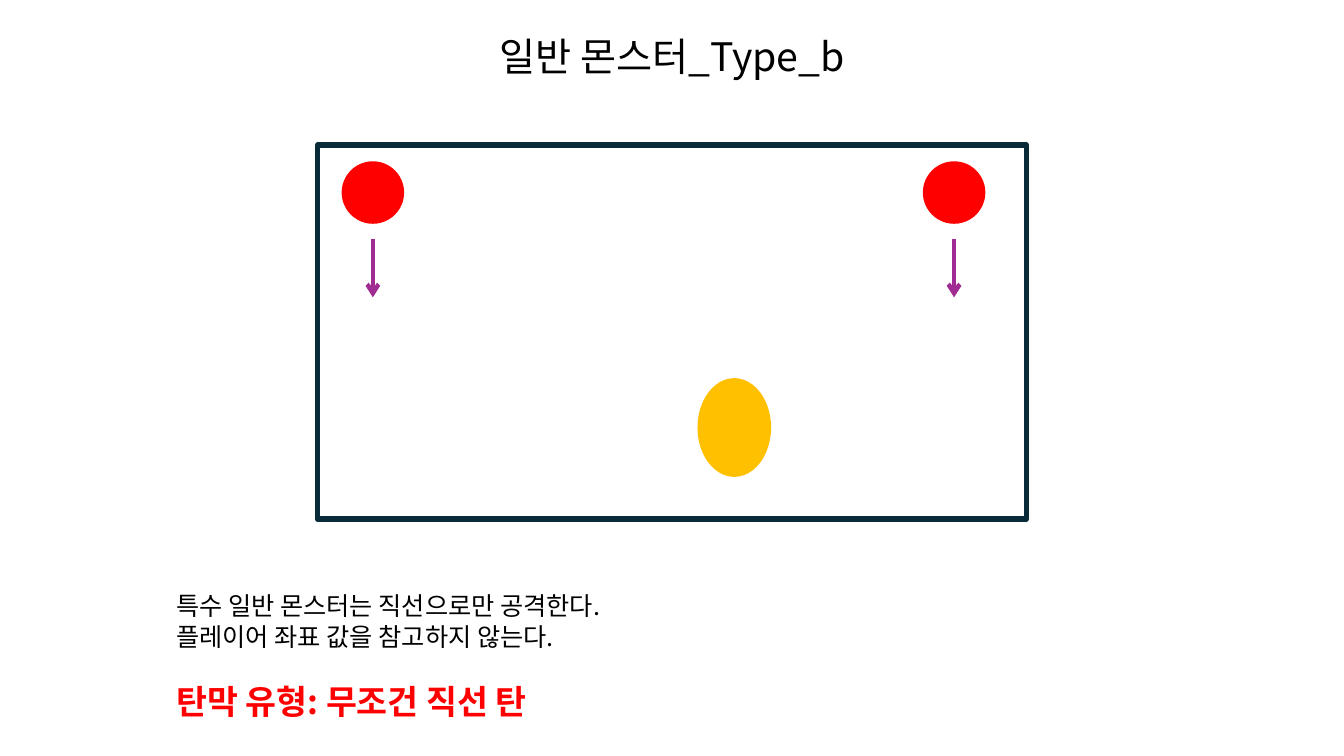
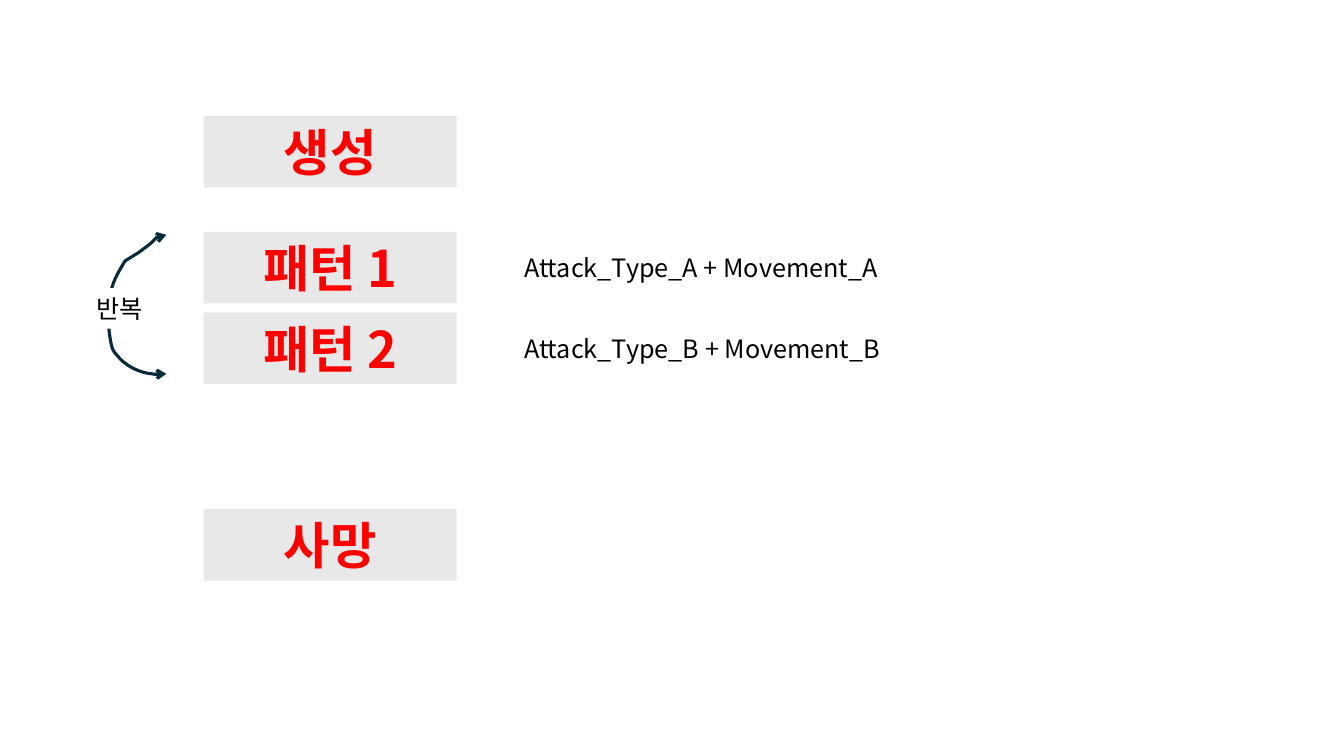
from lxml import etree
from pptx import Presentation
from pptx.dml.color import RGBColor
from pptx.enum.shapes import MSO_CONNECTOR, MSO_SHAPE
from pptx.enum.text import MSO_ANCHOR, MSO_AUTO_SIZE, PP_ALIGN
from pptx.oxml.ns import qn
from pptx.util import Inches, Pt

RECT, OVAL = MSO_SHAPE.RECTANGLE, MSO_SHAPE.OVAL
STRAIGHT = MSO_CONNECTOR.STRAIGHT
TOP, MIDDLE = MSO_ANCHOR.TOP, MSO_ANCHOR.MIDDLE
LEFT, CENTER = PP_ALIGN.LEFT, PP_ALIGN.CENTER

SLIDE_W, SLIDE_H = 13.33, 7.5
TITLE_ONLY, BLANK = 5, 6
FONT = "Noto Sans CJK KR"
COLORS = {
    "text": "000000",
    "accent": "FF0000",
    "player": "FFC000",
    "frame": "092A39",
    "bullet": "A02B93",
    "band": "E8E8E8",
    "paper": "FFFFFF",
}
TITLE = {"size": Pt(28), "bold": False, "color": "text"}
BODY = {"size": Pt(18), "bold": False, "color": "text"}
KEY_NOTE = {"size": Pt(24), "bold": True, "color": "accent"}
STATE = {"size": Pt(36), "bold": True, "color": "accent"}


def rgb(name):
    return RGBColor.from_string(COLORS[name])


def write(shape, lines, align=LEFT, anchor=TOP):
    """Fill a shape with (text, style, space before in points) lines."""
    frame = shape.text_frame
    settings = {
        "word_wrap": True, "auto_size": MSO_AUTO_SIZE.NONE, "vertical_anchor": anchor,
        "margin_left": Inches(0.1), "margin_right": Inches(0.1),
        "margin_top": Inches(0.05), "margin_bottom": Inches(0.05),
    }
    for name, value in settings.items():
        setattr(frame, name, value)
    for index, (text, style, gap) in enumerate(lines):
        paragraph = frame.add_paragraph() if index else frame.paragraphs[0]
        paragraph.alignment = align
        paragraph.space_before = Pt(gap)
        run = paragraph.add_run()
        run.text = text
        run.font.size, run.font.bold = style["size"], style["bold"]
        run.font.color.rgb = rgb(style["color"])
        run.font.name = FONT
        east_asian = etree.SubElement(run._r.get_or_add_rPr(), qn("a:ea"))
        east_asian.set("typeface", FONT)


def add_text(slide, box, lines):
    write(slide.shapes.add_textbox(*map(Inches, box)), lines)


def add_figure(slide, preset, box, fill=None, line=None, width=0):
    figure = slide.shapes.add_shape(preset, *map(Inches, box))
    figure.shadow.inherit = False
    if fill:
        figure.fill.solid()
        figure.fill.fore_color.rgb = rgb(fill)
    else:
        figure.fill.background()
    if line:
        figure.line.color.rgb = rgb(line)
        figure.line.width = Pt(width)
    else:
        figure.line.fill.background()
    return figure


def style_arrow(shape, color, width, ends):
    shape.line.color.rgb = rgb(color)
    shape.line.width = Pt(width)
    outline = shape.line._get_or_add_ln()
    for end in ends:
        etree.SubElement(outline, qn(f"a:{end}")).set("type", "arrow")


def add_monster(slide, center_x, top):
    """Draw a monster and the straight shot below it."""
    size, gap, shot = 0.62, 0.15, 0.58
    add_figure(slide, OVAL, (center_x - size / 2, top, size, size), "accent")
    start = top + size + gap
    arrow = slide.shapes.add_connector(
        STRAIGHT, *map(Inches, (center_x, start, center_x, start + shot)))
    style_arrow(arrow, "bullet", 3, ["tailEnd"])
    etree.SubElement(arrow._element.spPr, qn("a:effectLst"))


def add_arena(slide, box):
    left, top, width, height = box
    add_figure(slide, RECT, box, line="frame", width=4)
    for share in (0.078, 0.898):
        add_monster(slide, left + share * width, top + 0.16)
    add_figure(slide, OVAL, (left + 0.536 * width, top + 0.623 * height, 0.73, 0.98), "player")


def bezier_points(start, curves, steps=8):
    """Sample a chain of cubic curves, each given as three points."""
    points = [start]
    for first, second, end in curves:
        origin = points[-1]
        for step in range(1, steps + 1):
            t = step / steps
            u = 1 - t
            points.append(tuple(
                u**3 * a + 3 * u * u * t * b + 3 * u * t * t * c + t**3 * d
                for a, b, c, d in zip(origin, first, second, end)))
    return points


def add_loop(slide, box):
    """Draw the repeat loop: a two-headed arc with its label."""
    left, top, width, height = box
    arc = bezier_points((0.59, 0), [
        ((0.43, 0.03), (0.56, 0), (0.35, 0.15)),
        ((0.3, 0.19), (0.24, 0.22), (0.18, 0.26)),
        ((0.12, 0.36), (0.07, 0.44), (0.04, 0.56)),
        ((0.02, 0.63), (0.01, 0.7), (0, 0.77)),
        ((0.02, 0.88), (0.02, 1), (0.05, 1.11)),
        ((0.06, 1.16), (0.1, 1.19), (0.13, 1.23)),
        ((0.21, 1.31), (0.33, 1.37), (0.45, 1.38)),
        ((0.5, 1.39), (0.54, 1.38), (0.59, 1.38)),
    ])
    scale_x, scale_y = width / 0.59, height / 1.38
    points = [(Inches(left + x * scale_x), Inches(top + y * scale_y)) for x, y in arc]
    builder = slide.shapes.build_freeform(*points[0])
    builder.add_line_segments(points[1:], close=False)
    loop = builder.convert_to_shape()
    loop.shadow.inherit = False
    loop.fill.background()
    style_arrow(loop, "frame", 2.25, ["headEnd", "tailEnd"])
    label = add_figure(slide, RECT, (left - 0.46, top + 0.53, 1.17, 0.4), "paper")
    write(label, [("반복", BODY, 0)], CENTER, MIDDLE)


def add_state(slide, box, name, action=None):
    """Draw a state band, with the action it runs to its right."""
    left, top, width, height = box
    band = add_figure(slide, RECT, box, "band")
    write(band, [(name, STATE, 0)], CENTER, MIDDLE)
    if action:
        action_h = 0.4
        action_top = top + (height - action_h) / 2
        add_text(slide, (left + width + 0.57, action_top, 4.44, action_h), [(action, BODY, 0)])


def build_monster_slide(deck):
    slide = deck.slides.add_slide(deck.slide_layouts[TITLE_ONLY])
    arena_w = 7.03
    arena_left = (SLIDE_W - arena_w) / 2
    title = slide.shapes.title
    title.left, title.top, title.width, title.height = map(
        Inches, (arena_left, 0.27, arena_w, 0.57))
    write(title, [("일반 몬스터_Type_b", TITLE, 0)], CENTER)
    add_arena(slide, (arena_left, 1.44, arena_w, 3.71))
    add_text(slide, (1.65, 5.81, 10.04, 1.41), [
        ("특수 일반 몬스터는 직선으로만 공격한다.", BODY, 0),
        ("플레이어 좌표 값을 참고하지 않는다.", BODY, 0),
        ("탄막 유형: 무조건 직선 탄", KEY_NOTE, 21.6),
    ])


def build_pattern_slide(deck):
    slide = deck.slides.add_slide(deck.slide_layouts[BLANK])
    states = [
        (1.15, "생성", None),
        (2.3, "패턴 1", "Attack_Type_A + Movement_A"),
        (3.1, "패턴 2", "Attack_Type_B + Movement_B"),
        (5.05, "사망", None),
    ]
    for top, name, action in states:
        add_state(slide, (2.02, top, 2.51, 0.71), name, action)
    add_loop(slide, (1.06, 2.33, 0.59, 1.38))


def main():
    deck = Presentation()
    deck.slide_width, deck.slide_height = Inches(SLIDE_W), Inches(SLIDE_H)
    build_monster_slide(deck)
    build_pattern_slide(deck)
    deck.save("out.pptx")


if __name__ == "__main__":
    main()
